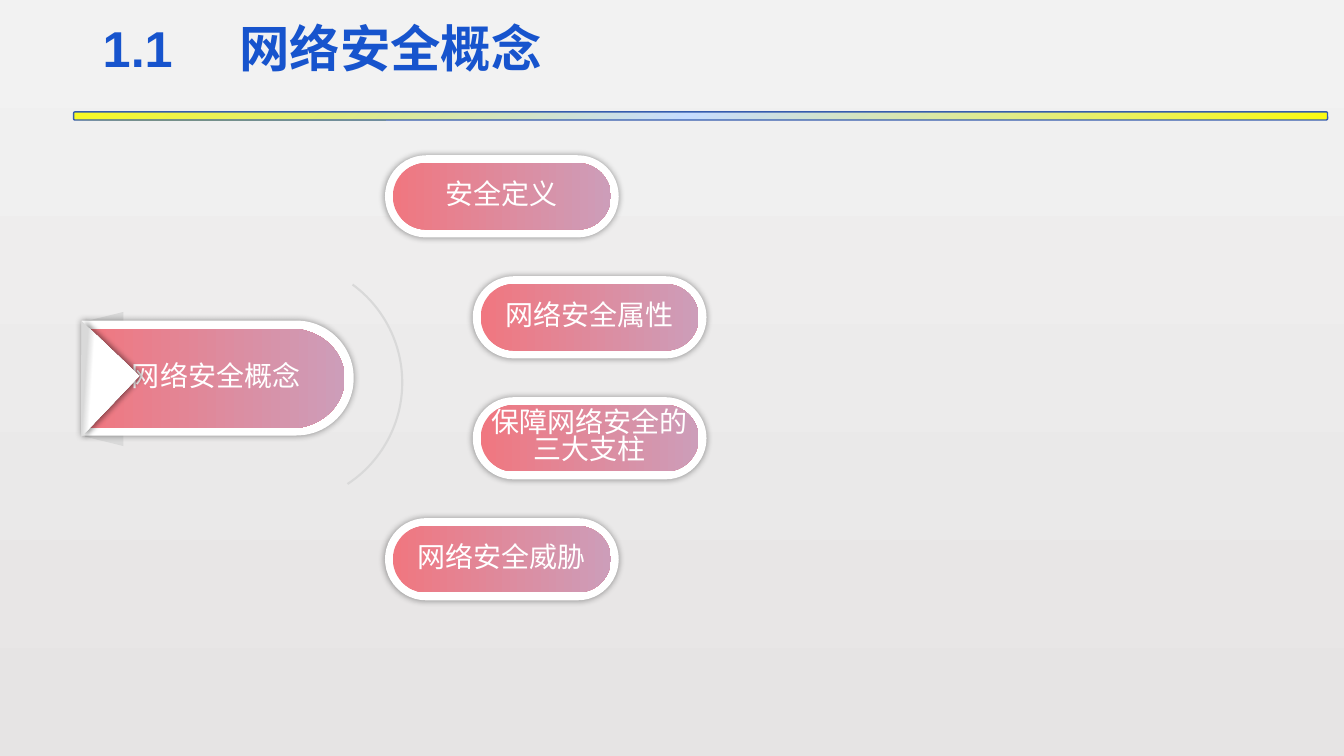
from dataclasses import dataclass
from math import cos, pi, sin

from lxml.etree import SubElement as Sub
from pptx import Presentation
from pptx.dml.color import RGBColor as Rgb
from pptx.enum.shapes import MSO_SHAPE as Kind
from pptx.enum.text import MSO_ANCHOR as Anchor
from pptx.enum.text import MSO_AUTO_SIZE as Fit
from pptx.enum.text import PP_ALIGN as Align
from pptx.oxml.ns import qn
from pptx.util import Pt

Stops = tuple[tuple[int, str], ...]


@dataclass(frozen=True)
class Theme:
    font: str = "Arial"
    head: int = 36
    body: int = 20
    blue: str = "1754CD"
    edge: str = "355CAD"
    white: str = "FFFFFF"
    grey: str = "D9D9D9"
    black: str = "000000"
    back: Stops = ((0, "F2F2F2"), (100, "E6E4E4"))
    rule: Stops = ((0, "FBFB11"), (51, "C6DCFF"), (100, "F7F923"))
    pink: Stops = ((0, "F07780"), (100, "CD9DB9"))
    fold: Stops = ((53, "D9D9D9"), (59, "FFFFFF"))


@dataclass(frozen=True)
class Box:
    left: float
    top: float
    width: float
    height: float

    def emu(self) -> tuple[int, ...]:
        return tuple(Pt(v) for v in (self.left, self.top, self.width, self.height))

    def inset(self, gap: float) -> "Box":
        return Box(self.left + gap, self.top + gap,
                   self.width - 2 * gap, self.height - 2 * gap)


@dataclass(frozen=True)
class Pill:
    text: str
    left: float


THEME = Theme()
PILLS = (
    Pill("安全定义", 275),
    Pill("网络安全属性", 337.7),
    Pill("保障网络安全的三大支柱", 337.7),
    Pill("网络安全威胁", 275),
)
FIRST, STEP = 110.9, 86.4
WIDTH, HEIGHT, RIM = 167, 58.7, 5.6


def blend(fill, root, stops: Stops, angle: float | None) -> None:
    fill.gradient()
    grad = root.find(".//" + qn("a:gradFill"))
    for child in list(grad):
        grad.remove(child)
    grad.set("rotWithShape", "1")
    group = Sub(grad, qn("a:gsLst"))
    for place, tint in stops:
        stop = Sub(group, qn("a:gs"), pos=str(place * 1000))
        Sub(stop, qn("a:srgbClr"), val=tint)
    if angle is None:
        ring = Sub(grad, qn("a:path"), path="circle")
        Sub(ring, qn("a:fillToRect"), l="100000", t="100000")
    else:
        Sub(grad, qn("a:lin"), ang=str(int(angle * 60000)), scaled="0")


def paint(shape, fill: str | Stops, angle: float | None = 0) -> None:
    shape.shadow.inherit = False
    shape.line.fill.background()
    if isinstance(fill, str):
        shape.fill.solid()
        shape.fill.fore_color.rgb = Rgb.from_string(fill)
    else:
        blend(shape.fill, shape.element, fill, angle)


def shade(shape, blur: float, dist: float = 0) -> None:
    glow = Sub(shape.element.spPr.find(qn("a:effectLst")), qn("a:outerShdw"),
               blurRad=str(Pt(blur)), dist=str(Pt(dist)), dir="0",
               algn="ctr", rotWithShape="0")
    tint = Sub(glow, qn("a:srgbClr"), val=THEME.black)
    Sub(tint, qn("a:alpha"), val="40000")


def style(frame, size: int, tint: str, space: float, align: Align,
          bold: bool = False) -> None:
    frame.word_wrap = True
    frame.auto_size = Fit.NONE
    frame.vertical_anchor = Anchor.MIDDLE
    for para in frame.paragraphs:
        para.alignment = align
        para.line_spacing = space
        for run in para.runs:
            run.font.name = THEME.font
            run.font.size = Pt(size)
            run.font.bold = bold
            run.font.color.rgb = Rgb.from_string(tint)


def label(shape, text: str) -> None:
    frame = shape.text_frame
    frame.text = text
    frame.margin_left = frame.margin_right = 0
    frame.margin_top = frame.margin_bottom = 0
    style(frame, THEME.body, THEME.white, 0.8, Align.CENTER)


def preset(slide, kind: Kind, box: Box, turn: float = 0, tune: tuple = ()):
    shape = slide.shapes.add_shape(kind, *box.emu())
    shape.rotation = turn
    for index, value in enumerate(tune):
        shape.adjustments[index] = value
    return shape


def badge(slide, box: Box, bend: float):
    right, half = box.left + box.width, box.height / 2
    turns = [pi * i / 48 - pi / 2 for i in range(49)]
    curve = [(right - bend + bend * cos(t), box.top + half + half * sin(t))
             for t in turns]
    pen = slide.shapes.build_freeform(Pt(box.left), Pt(box.top))
    ends = curve + [(box.left, box.top + box.height)]
    pen.add_line_segments([(Pt(x), Pt(y)) for x, y in ends], close=True)
    return pen.convert_to_shape()


def finish(rim, core, text: str) -> None:
    paint(rim, THEME.white)
    shade(rim, 5)
    paint(core, THEME.pink)
    label(core, text)


def header(slide) -> None:
    bar = preset(slide, Kind.ROUNDED_RECTANGLE, Box(52.6, 79.9, 895.7, 5.8))
    paint(bar, THEME.rule, None)
    bar.line.color.rgb = Rgb.from_string(THEME.edge)
    bar.line.width = Pt(1)
    title = slide.shapes.title
    title.left, title.top, title.width, title.height = Box(66.2, 5, 828, 62.6).emu()
    frame = title.text_frame
    frame.text = "1.1\t网络安全概念"
    tabs = Sub(frame.paragraphs[0]._p.get_or_add_pPr(), qn("a:tabLst"))
    Sub(tabs, qn("a:tab"), pos=str(Pt(97.5)), algn="l")
    style(frame, THEME.head, THEME.blue, 0.9, Align.LEFT, True)


def topic(slide) -> None:
    tail = preset(slide, Kind.TRAPEZOID, Box(26.6, 257, 95.8, 27.4), 270, (0.245,))
    paint(tail, THEME.grey)
    rim = badge(slide, Box(58.3, 229, 194.4, 82.1), 41)
    core = badge(slide, Box(62.6, 234.7, 183.6, 71.3), 38.9)
    finish(rim, core, "网络安全概念")
    fold = preset(slide, Kind.RIGHT_TRIANGLE, Box(29.5, 240.5, 56.9, 60.5), 223.6)
    paint(fold, THEME.fold, 140)
    shade(fold, 4, 3)


def branch(slide) -> None:
    for index, pill in enumerate(PILLS):
        box = Box(pill.left, FIRST + index * STEP, WIDTH, HEIGHT)
        rim, core = (preset(slide, Kind.ROUNDED_RECTANGLE, area, 0, (0.5,))
                     for area in (box, box.inset(RIM)))
        finish(rim, core, pill.text)
    arc = preset(slide, Kind.ARC, Box(113.8, 186.5, 173.5, 173.5), 45,
                 (156.73, 7))
    arc.shadow.inherit = False
    arc.fill.background()
    arc.line.color.rgb = Rgb.from_string(THEME.grey)
    arc.line.width = Pt(1.5)


def main() -> None:
    deck = Presentation()
    deck.slide_width, deck.slide_height = Pt(960), Pt(540)
    slide = deck.slides.add_slide(deck.slide_layouts[5])
    blend(slide.background.fill, slide.element, THEME.back, 90)
    header(slide)
    topic(slide)
    branch(slide)
    deck.save("out.pptx")


if __name__ == "__main__":
    main()
